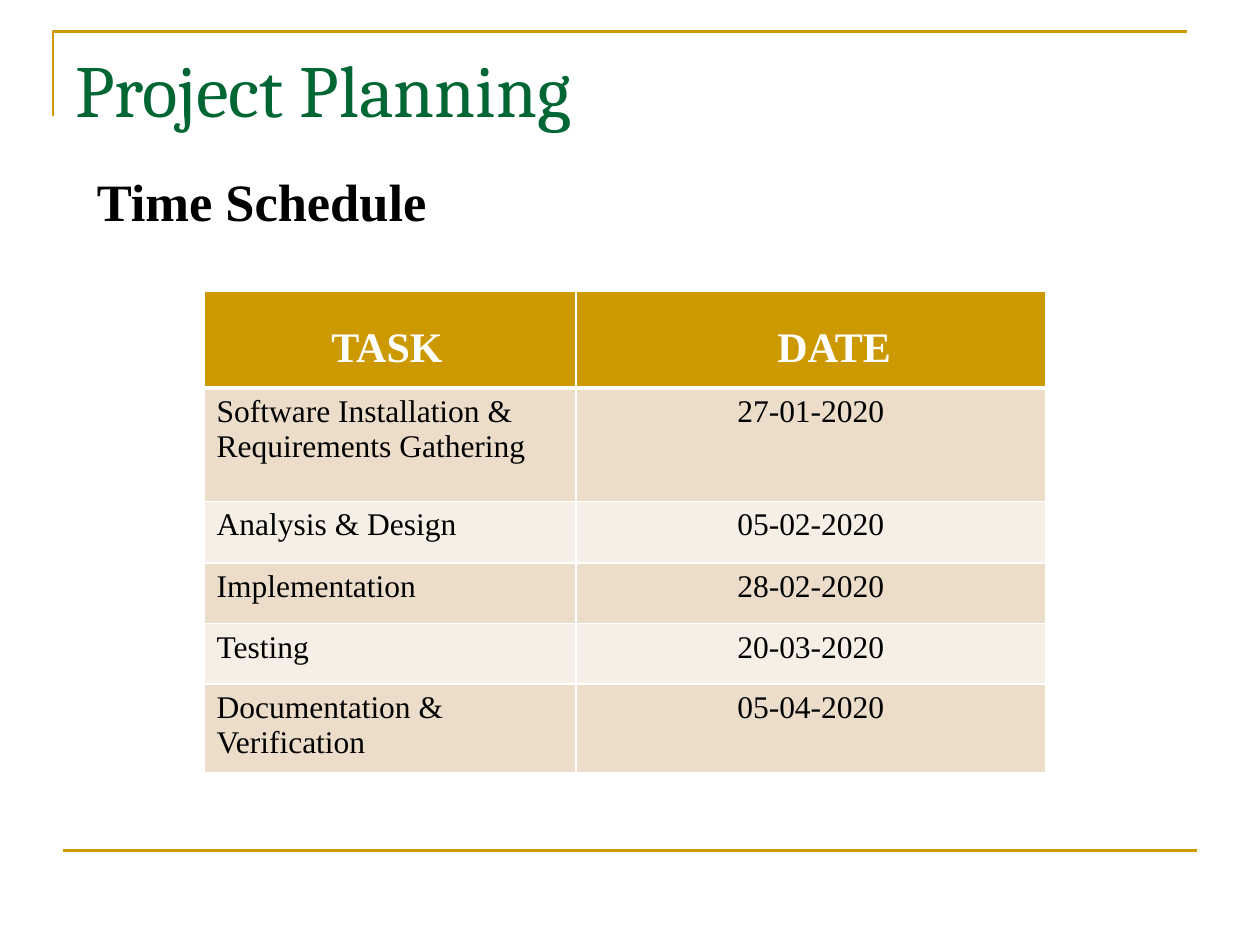
from lxml import etree
from pptx import Presentation
from pptx.dml.color import RGBColor
from pptx.enum.shapes import MSO_CONNECTOR
from pptx.enum.text import MSO_ANCHOR, PP_ALIGN
from pptx.oxml.ns import qn
from pptx.util import Inches, Pt

GOLD = RGBColor(0xCC, 0x99, 0x00)
GREEN = RGBColor(0x00, 0x66, 0x33)
BLACK = RGBColor(0, 0, 0)
WHITE = RGBColor(0xFF, 0xFF, 0xFF)
BANDS = [RGBColor(0xEC, 0xDD, 0xCA), RGBColor(0xF6, 0xEF, 0xE6)]
LEFT, CENTER, JUSTIFY = PP_ALIGN.LEFT, PP_ALIGN.CENTER, PP_ALIGN.JUSTIFY
TOP = MSO_ANCHOR.TOP
STRAIGHT = MSO_CONNECTOR.STRAIGHT
SERIF = "Times New Roman"


def write(text_frame, text, size, color, bold=False, align=LEFT, font=SERIF):
    text_frame.word_wrap = True
    paragraph = text_frame.paragraphs[0]
    paragraph.alignment = align
    run = paragraph.add_run()
    run.text = text
    run.font.name = font
    run.font.size = Pt(size)
    run.font.bold = bold
    run.font.color.rgb = color
    return paragraph


def set_borders(cell, bottom_width):
    properties = cell._tc.get_or_add_tcPr()
    widths = {"a:lnL": 1, "a:lnR": 1, "a:lnT": 1, "a:lnB": bottom_width}
    for position, (tag, width) in enumerate(widths.items()):
        line = etree.Element(qn(tag), w=str(Pt(width)))
        fill = etree.SubElement(line, qn("a:solidFill"))
        etree.SubElement(fill, qn("a:srgbClr"), val=str(WHITE))
        properties.insert(position, line)


presentation = Presentation()
presentation.slide_width = Inches(10)
presentation.slide_height = Inches(7.5)
slide = presentation.slides.add_slide(presentation.slide_layouts[6])
shapes = slide.shapes

# Corner rule at the top, straight rule at the bottom
builder = shapes.build_freeform(Inches(0.42), Inches(0.92))
builder.add_line_segments(
    [(Inches(0.42), Inches(0.25)), (Inches(9.42), Inches(0.25))], close=False)
corner_rule = builder.convert_to_shape()
corner_rule.shadow.inherit = False
corner_rule.fill.background()
bottom_rule = shapes.add_connector(
    STRAIGHT, Inches(0.5), Inches(6.75), Inches(9.5), Inches(6.75))
etree.SubElement(bottom_rule._element.spPr, qn("a:effectLst"))
for rule in (corner_rule, bottom_rule):
    rule.line.color.rgb = GOLD
    rule.line.width = Pt(1.5)

# Title and subtitle
title = shapes.add_textbox(Inches(0.5), Inches(0.3), Inches(9), Inches(0.77))
title.text_frame.vertical_anchor = TOP
write(title.text_frame, "Project Planning", 42, GREEN, font="Cambria")

subtitle = shapes.add_textbox(Inches(0.5), Inches(1.29), Inches(9), Inches(5.41))
paragraph = write(subtitle.text_frame, "Time Schedule", 30, BLACK, True, JUSTIFY)
paragraph.space_before = Pt(3.6)
indents = paragraph._p.get_or_add_pPr()
indents.set("marL", str(Inches(0.5)))
indents.set("indent", str(Inches(-0.33)))

# Schedule table
schedule = [
    ("TASK", "DATE"),
    ("Software Installation & Requirements Gathering", "27-01-2020"),
    ("Analysis & Design", "05-02-2020"),
    ("Implementation", "28-02-2020"),
    ("Testing", "20-03-2020"),
    ("Documentation & Verification", "05-04-2020"),
]
column_widths = [2.95, 3.73]
row_heights = [0.77, 0.9, 0.49, 0.48, 0.48, 0.65]
header_indents = [0.91, 1.5]

table = shapes.add_table(
    len(schedule), len(column_widths), Inches(1.62), Inches(2.31),
    Inches(sum(column_widths)), Inches(sum(row_heights))).table
for column, width in zip(table.columns, column_widths):
    column.width = Inches(width)
for row, height in zip(table.rows, row_heights):
    row.height = Inches(height)

for row_index, entries in enumerate(schedule):
    is_header = row_index == 0
    for column_index, text in enumerate(entries):
        cell = table.cell(row_index, column_index)
        cell.fill.solid()
        set_borders(cell, 3 if is_header else 1)
        if is_header:
            cell.fill.fore_color.rgb = GOLD
            cell.margin_top = Inches(0.27)
            paragraph = write(cell.text_frame, text, 24, WHITE, True)
            paragraph._p.get_or_add_pPr().set(
                "marL", str(Inches(header_indents[column_index])))
        else:
            cell.fill.fore_color.rgb = BANDS[(row_index - 1) % 2]
            write(cell.text_frame, text, 18, BLACK,
                  align=CENTER if column_index else LEFT)

presentation.save("out.pptx")
